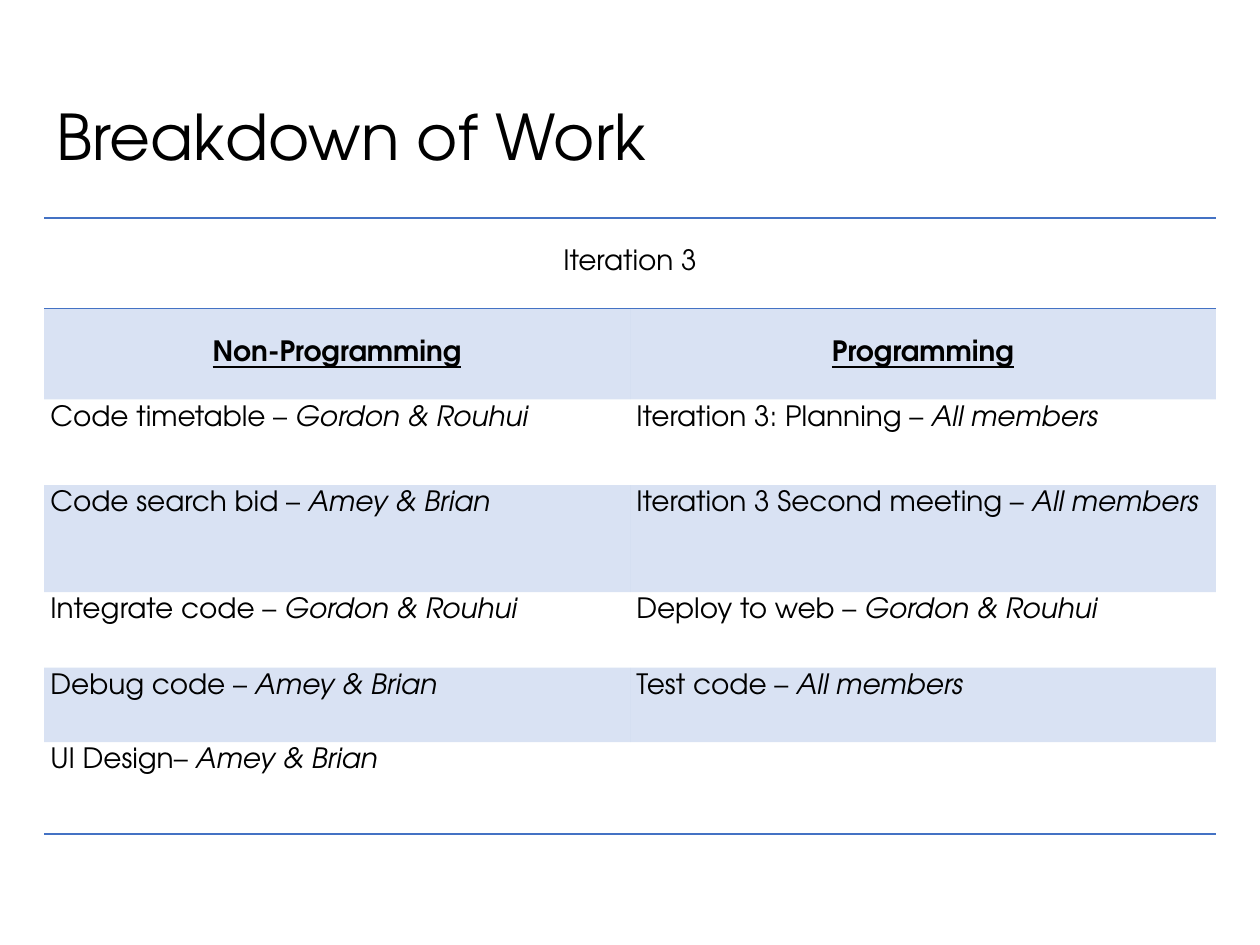
import pptx
import pptx.util
import pptx.dml.color
import pptx.enum.text
import pptx.oxml.ns
import lxml.etree

Inches = pptx.util.Inches
qn = pptx.oxml.ns.qn
MIDDLE = pptx.enum.text.MSO_ANCHOR.MIDDLE
CENTER = pptx.enum.text.PP_ALIGN.CENTER

FONT = "TeX Gyre Adventor"
BLUE = "4472C4"
PLAIN = "{2D5ABB26-0587-4C30-8999-92F81FD0307C}"  # no style, no grid

HEAD = ["Non-Programming", "Programming"]
TASKS = [
    [("Code timetable – ", "Gordon & Rouhui"),
     ("Iteration 3: Planning – ", "All members")],
    [("Code search bid – ", "Amey & Brian"),
     ("Iteration 3 Second meeting – ", "All members")],
    [("Integrate code – ", "Gordon & Rouhui"),
     ("Deploy to web – ", "Gordon & Rouhui")],
    [("Debug code – ", "Amey & Brian"),
     ("Test code – ", "All members")],
    [("UI Design– ", "Amey & Brian"), None],
]
ROWS = [0.72, 0.72, 0.68, 0.85, 0.6, 0.59, 0.73]


def color(code):
    return pptx.dml.color.RGBColor.from_string(code)


def style(item, form):
    for name, value in form.items():
        setattr(item, name, value)


def pad(item, side, top=0.05):
    style(item, {"margin_left": Inches(side), "margin_right": Inches(side),
                 "margin_top": Inches(top), "margin_bottom": Inches(top)})


def write(para, text, size=16, **form):
    run = para.add_run()
    run.text = text
    style(run.font, {"name": FONT, "size": pptx.util.Pt(size), **form})
    run.font.color.rgb = color("000000")


def tint(cell):
    """Fill a cell with pale, see-through blue."""
    cell.fill.solid()
    cell.fill.fore_color.rgb = color(BLUE)
    code = cell._tc.tcPr.find(".//" + qn("a:srgbClr"))
    lxml.etree.SubElement(code, qn("a:alpha"), val="20000")


def rule(cell, *sides):
    """Draw thin blue borders; they must precede the fill."""
    props = cell._tc.get_or_add_tcPr()
    for place, side in enumerate(sides):
        line = lxml.etree.Element(qn("a:ln" + side), w="12700")
        fill = lxml.etree.SubElement(line, qn("a:solidFill"))
        lxml.etree.SubElement(fill, qn("a:srgbClr"), val=BLUE)
        props.insert(place, line)


def label(cell, text, **form):
    pad(cell, 0.1)
    cell.vertical_anchor = MIDDLE
    para = cell.text_frame.paragraphs[0]
    para.alignment = CENTER
    write(para, text, **form)


def task(cell, entry):
    pad(cell, 0.05)
    if entry:
        para = cell.text_frame.paragraphs[0]
        job, team = entry
        write(para, job)
        write(para, team, italic=True)


def add_title(slide, text):
    title = slide.shapes.title
    style(title, {"left": Inches(0.35), "top": Inches(0.68),
                  "width": Inches(6.25), "height": Inches(0.87)})
    frame = title.text_frame
    style(frame, {"vertical_anchor": MIDDLE, "word_wrap": True})
    pad(frame, 0.1)
    para = frame.paragraphs[0]
    style(para, {"alignment": pptx.enum.text.PP_ALIGN.LEFT,
                 "line_spacing": 0.9})
    write(para, text, size=36)


def add_grid(slide):
    frame = slide.shapes.add_table(len(ROWS), len(HEAD), Inches(0.35),
                                   Inches(1.73), Inches(9.3),
                                   Inches(sum(ROWS)))
    table = frame.table
    style(table, {"first_row": False, "horz_banding": False})
    table._tbl.tblPr.find(qn("a:tableStyleId")).text = PLAIN
    for row, height in zip(table.rows, ROWS):
        row.height = Inches(height)

    # Banded fills
    for index, row in enumerate(table.rows):
        for cell in row.cells:
            if index % 2:
                tint(cell)
            else:
                cell.fill.background()

    # Heading across both columns, then column heads
    top = table.cell(0, 0)
    top.merge(table.cell(0, 1))
    label(top, "Iteration 3")
    for col, text in enumerate(HEAD):
        label(table.cell(1, col), text, bold=True, underline=True)

    # Tasks
    for row, pair in enumerate(TASKS, 2):
        for col, entry in enumerate(pair):
            task(table.cell(row, col), entry)

    # Rules above and below the heading and at the foot
    for col in range(len(HEAD)):
        rule(table.cell(0, col), "T", "B")
        rule(table.cell(len(ROWS) - 1, col), "B")


def main():
    deck = pptx.Presentation()
    style(deck, {"slide_width": Inches(10), "slide_height": Inches(7.5)})
    slide = deck.slides.add_slide(deck.slide_layouts[5])
    add_title(slide, "Breakdown of Work")
    add_grid(slide)
    deck.save("out.pptx")


if __name__ == "__main__":
    main()
